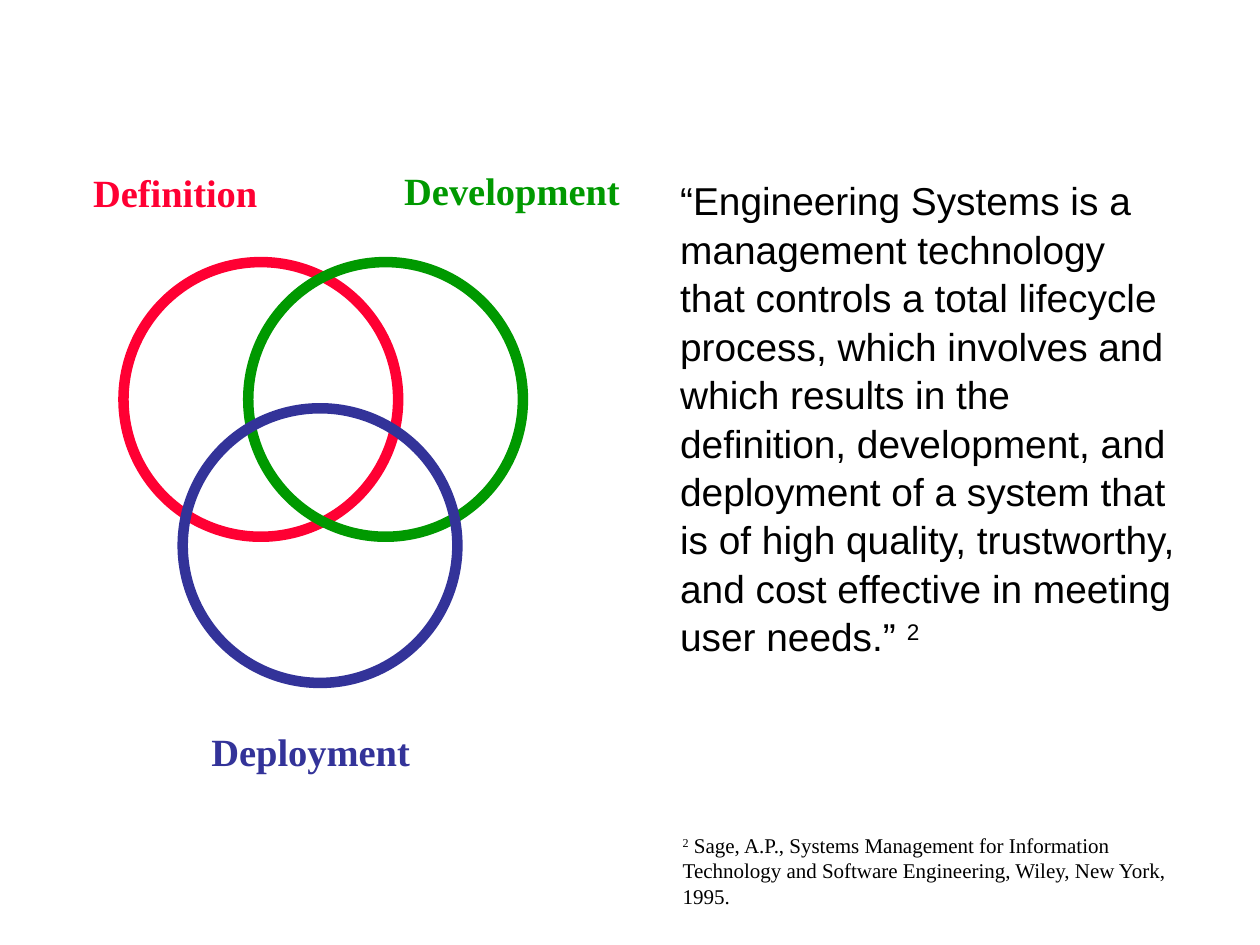
from pptx import Presentation
from pptx.dml.color import RGBColor
from pptx.enum.shapes import MSO_SHAPE
from pptx.enum.text import MSO_AUTO_SIZE
from pptx.util import Inches, Pt

RED = RGBColor(0xFF, 0x00, 0x33)
GREEN = RGBColor(0x00, 0x99, 0x00)
BLUE = RGBColor(0x33, 0x33, 0x99)
BLACK = RGBColor(0x00, 0x00, 0x00)

SANS, SERIF = "Arial", "Times New Roman"

# The grid has 100 columns and 75 rows.
SLIDE_WIDTH, SLIDE_HEIGHT = Inches(10), Inches(7.5)
COLUMN, ROW = SLIDE_WIDTH / 100, SLIDE_HEIGHT / 75

QUOTE = ("“Engineering Systems is a management technology that controls a total "
         "lifecycle process, which involves and which results in the definition, "
         "development, and deployment of a system that is of high quality, "
         "trustworthy, and cost effective in meeting user needs.” ")
CITATION = (" Sage, A.P., Systems Management for Information Technology and "
            "Software Engineering, Wiley, New York, 1995.")

# Name, colour, circle offset and label box, in grid units within the diagram.
PHASES = [
    ("Definition", RED, (3.4, 8), (0, 0.1, 14.9, 4.6)),
    ("Development", GREEN, (13.3, 8), (24.7, 0, 18.9, 4.6)),
    ("Deployment", BLUE, (8.1, 19.6), (9.4, 44.5, 17.6, 4.6)),
]
DIAMETER = 21.8


def on_grid(left, top, width, height):
    """Turn grid units into slide lengths."""
    return (round(left * COLUMN), round(top * ROW),
            round(width * COLUMN), round(height * ROW))


def add_text(page, area, spans, font, size, colour, bold=False, wrap=True):
    """Add one paragraph of (text, is_superscript) spans."""
    box = page.shapes.add_textbox(*on_grid(*area))
    frame = box.text_frame
    frame.word_wrap = wrap
    frame.auto_size = MSO_AUTO_SIZE.NONE
    para = frame.paragraphs[0]
    for text, is_superscript in spans:
        span = para.add_run()
        span.text = text
        span.font.name = font
        span.font.size = Pt(size)
        span.font.bold = bold
        span.font.color.rgb = colour
        if is_superscript:
            span.font._element.set("baseline", "30000")
    return para


def add_phase_diagram(page, left, top):
    for name, colour, (across, down), label in PHASES:
        circle = page.shapes.add_shape(
            MSO_SHAPE.OVAL,
            *on_grid(left + across, top + down, DIAMETER, DIAMETER))
        circle.shadow.inherit = False
        circle.fill.background()
        circle.line.color.rgb = colour
        circle.line.width = Pt(6)

        label_across, label_down, width, height = label
        area = (left + label_across, top + label_down, width, height)
        add_text(page, area, [(name, False)], SERIF, 22, colour,
                 bold=True, wrap=False)


def add_quote(page, area):
    para = add_text(page, area, [(QUOTE, False), ("2", True)],
                    SANS, 22.2, BLACK)
    para.line_spacing = 1.04


def add_footnote(page, area):
    add_text(page, area, [("2", True), (CITATION, False)], SERIF, 12, BLACK)


def main():
    deck = Presentation()
    deck.slide_width, deck.slide_height = SLIDE_WIDTH, SLIDE_HEIGHT
    page = deck.slides.add_slide(deck.slide_layouts[6])
    add_quote(page, (53, 13.4, 41.7, 45))
    add_footnote(page, (53.2, 65.6, 42.4, 7))
    add_phase_diagram(page, 6.4, 12.8)
    deck.save("out.pptx")


if __name__ == "__main__":
    main()
